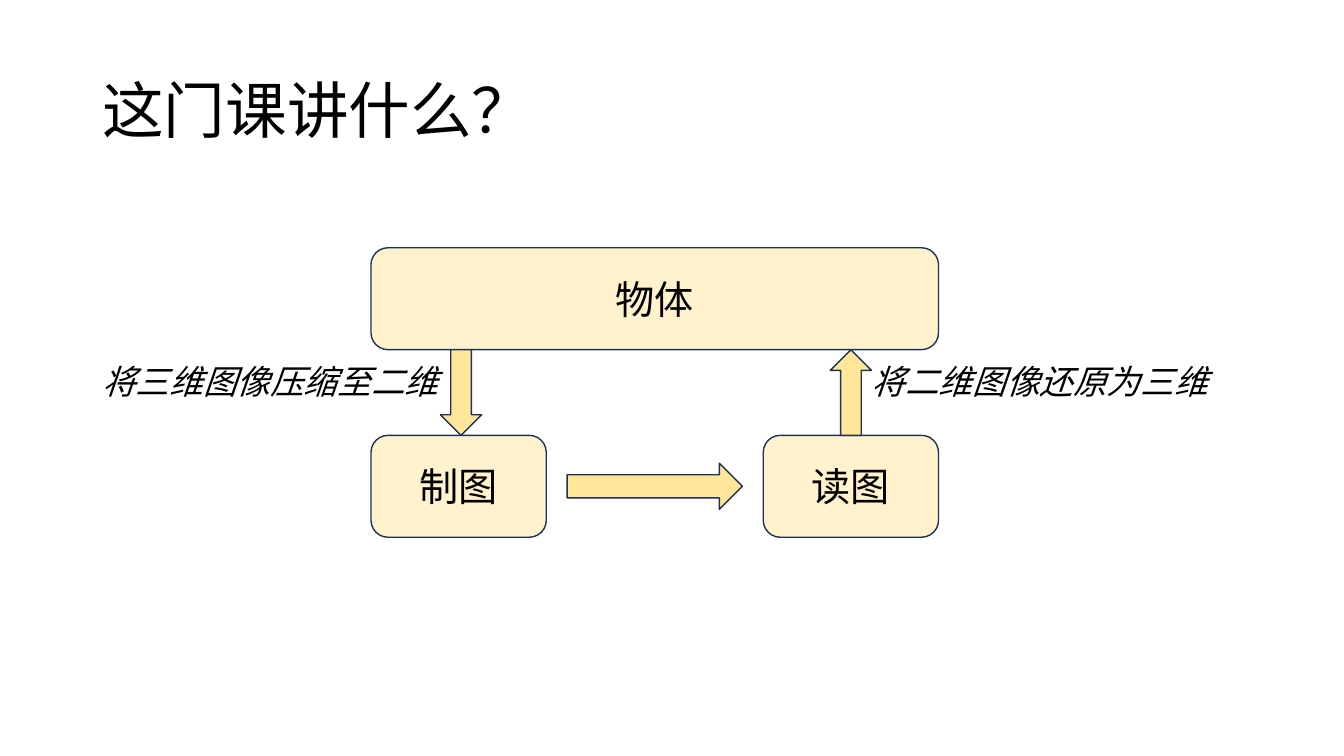
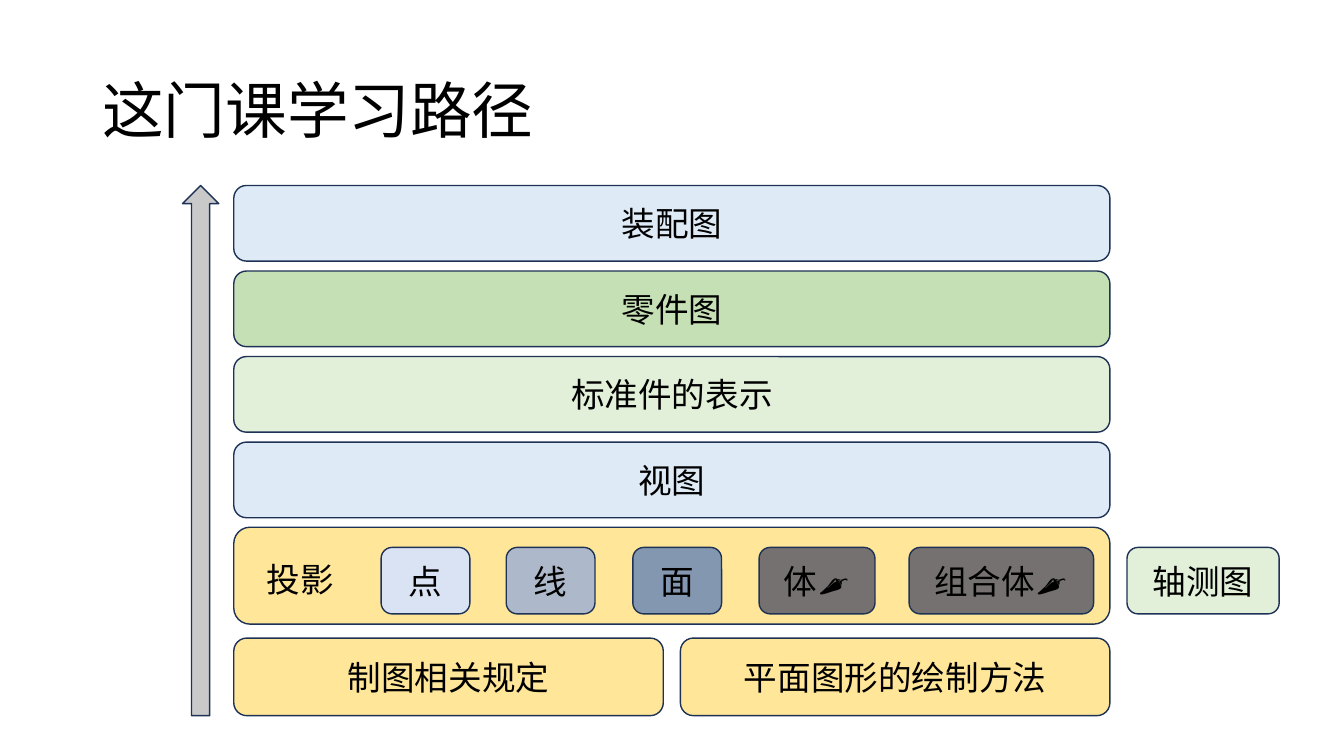
"""Build two slides that introduce a technical drawing course."""
from dataclasses import dataclass

from lxml.etree import SubElement as Sub
from pptx import Presentation
from pptx.dml.color import RGBColor as Rgb
from pptx.enum.shapes import MSO_SHAPE as Form
from pptx.enum.text import MSO_ANCHOR as Anchor, PP_ALIGN as Align
from pptx.oxml.ns import qn
from pptx.slide import Slide
from pptx.text.text import TextFrame as Frame
from pptx.util import Pt


@dataclass(frozen=True)
class Theme:
    font: str = "Noto Sans CJK SC"
    ink: str = "000000"
    edge: str = "1E3256"
    cream: str = "FFF2CC"
    gold: str = "FFE699"
    sky: str = "DEEBF7"
    mint: str = "E2F0D9"
    leaf: str = "C5E0B4"
    ice: str = "DAE3F3"
    steel: str = "ADB9CA"
    slate: str = "8497B0"
    stone: str = "767171"
    ash: str = "C9C9C9"
    title: int = 44
    large: int = 28
    body: int = 24


@dataclass(frozen=True)
class Item:
    x: float
    y: float
    w: float
    h: float
    fill: str
    text: str = ""
    size: int = Theme.body
    form: Form = Form.ROUNDED_RECTANGLE


T = Theme()
LEFT = 66


def write(frame: Frame, text: str, *, size: int = T.body, slant: bool = False,
          align: Align = Align.LEFT, anchor: Anchor = Anchor.TOP,
          wrap: bool = True, space: float = 1.0) -> None:
    """Put one formatted paragraph into a text frame."""
    frame.word_wrap = wrap
    frame.vertical_anchor = anchor
    par = frame.paragraphs[0]
    par.alignment = align
    par.line_spacing = space
    run = par.add_run()
    run.text = text
    font = run.font
    font.size = Pt(size)
    font.italic = slant
    font.color.rgb = Rgb.from_string(T.ink)
    font.name = T.font
    Sub(run._r.get_or_add_rPr(), qn("a:ea"), typeface=T.font)


def label(slide: Slide, x: float, y: float, w: float, h: float,
          text: str, **style) -> None:
    """Add a text box."""
    box = slide.shapes.add_textbox(Pt(x), Pt(y), Pt(w), Pt(h))
    write(box.text_frame, text, **style)


def draw(slide: Slide, item: Item) -> None:
    """Add a filled and outlined shape."""
    shape = slide.shapes.add_shape(
        item.form, Pt(item.x), Pt(item.y), Pt(item.w), Pt(item.h))
    shape.shadow.inherit = False
    shape.fill.solid()
    shape.fill.fore_color.rgb = Rgb.from_string(item.fill)
    shape.line.color.rgb = Rgb.from_string(T.edge)
    shape.line.width = Pt(1)
    if item.text:
        write(shape.text_frame, item.text, size=item.size,
              align=Align.CENTER, anchor=Anchor.MIDDLE)


def start(deck: Presentation, title: str) -> Slide:
    """Add a blank slide with its title."""
    slide = deck.slides.add_slide(deck.slide_layouts[6])
    label(slide, LEFT, 28.8, 828, 104.4, title, size=T.title,
          anchor=Anchor.MIDDLE, space=0.9)
    return slide


def topic(deck: Presentation) -> None:
    """Draw the cycle of object, drawing and reading."""
    slide = start(deck, "这门课讲什么？")
    x, top, low, wide, cell, high = 265, 177, 311, 405.4, 125.2, 72.8
    far = x + wide - cell
    gap = (wide - 3 * cell) / 2
    base = top + high
    thick, shaft = 33, 29.5
    for left, y, w, text in ((x, low, cell, "制图"), (far, low, cell, "读图"),
                             (x, top, wide, "物体")):
        draw(slide, Item(left, y, w, high, T.cream, text, T.large))
    for left, text in ((615.6, "将二维图像还原为三维"),
                       (LEFT, "将三维图像压缩至二维")):
        label(slide, left, 254.2, 291.6, 36, text, slant=True)
    draw(slide, Item(x + cell + gap, low + (high - thick) / 2, cell, thick,
                     T.gold, form=Form.RIGHT_ARROW))
    for left, form in ((314.6, Form.DOWN_ARROW),
                       (far + (cell - shaft) / 2, Form.UP_ARROW)):
        draw(slide, Item(left, base, shaft, low - base, T.gold, form=form))


def route(deck: Presentation) -> None:
    """Draw the learning path as stacked layers."""
    slide = start(deck, "这门课学习路径")
    x, top, wide, step = 167, 132.5, 625.8, 61.1
    base, foot, half = 455.8, 55.4, 306.8
    for left, text in ((x, "制图相关规定"),
                       (x + wide - half, "平面图形的绘制方法")):
        draw(slide, Item(left, base, half, foot, T.gold, text))
    draw(slide, Item(x, 376.6, wide, 69.2, T.gold))
    label(slide, 183.6, 396, 63.4, 36, "投影", wrap=False)
    chips = (
        (272.2, 63.4, T.ice, "点"),
        (361.6, 63.4, T.steel, "线"),
        (452, 63.4, T.slate, "面"),
        (542.2, 82.8, T.stone, "体🌶️"),
        (649.4, 131.8, T.stone, "组合体🌶️"),
        (805, 108.7, T.mint, "轴测图"),
    )
    for left, w, fill, text in chips:
        draw(slide, Item(left, 391, w, 47.5, fill, text))
    rows = ((T.sky, "装配图"), (T.leaf, "零件图"),
            (T.mint, "标准件的表示"), (T.sky, "视图"))
    for i, (fill, text) in enumerate(rows):
        draw(slide, Item(x, top + i * step, wide, 54, fill, text))
    draw(slide, Item(130.3, top, 26, base + foot - top, T.ash,
                     form=Form.UP_ARROW))


def main() -> None:
    """Build and save the deck."""
    deck = Presentation()
    deck.slide_width, deck.slide_height = Pt(960), Pt(540)
    topic(deck)
    route(deck)
    deck.save("out.pptx")


if __name__ == "__main__":
    main()
